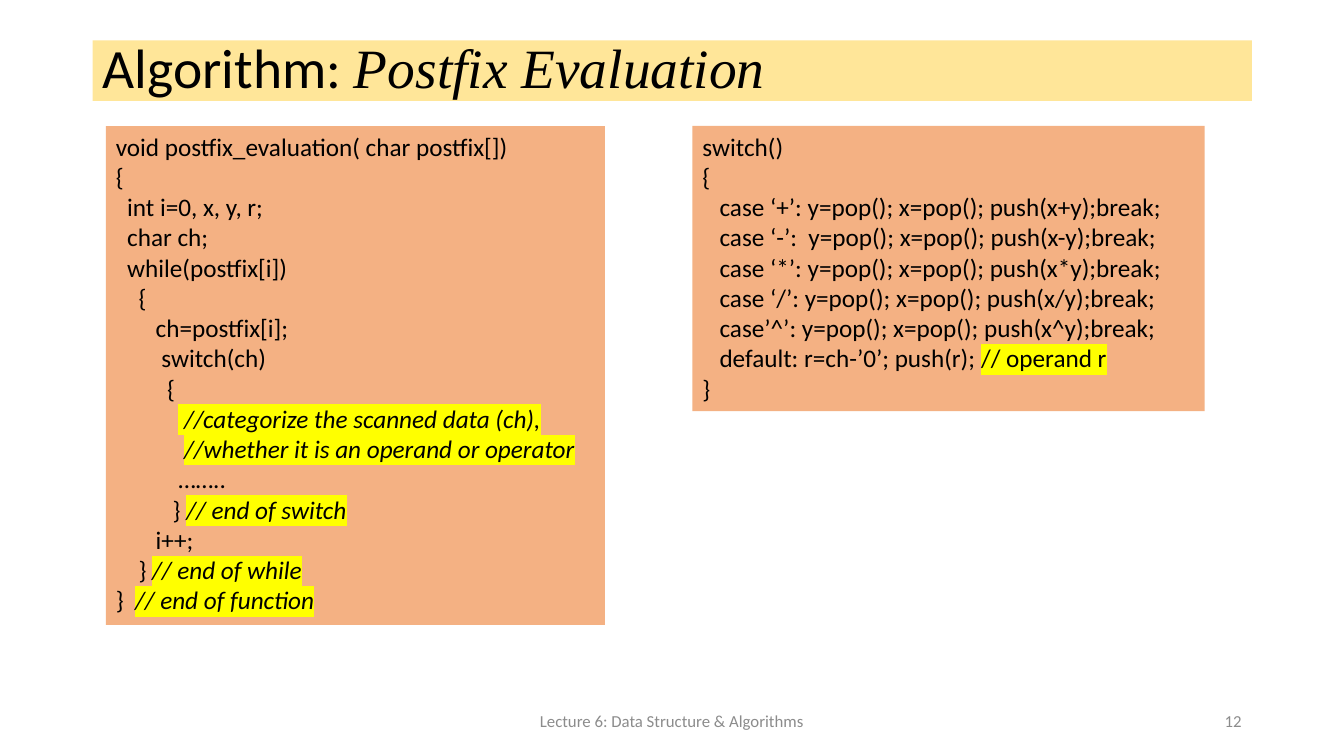
from lxml.etree import SubElement, Element
from pptx import Presentation
from pptx.dml.color import RGBColor
from pptx.enum.shapes import MSO_SHAPE
from pptx.enum.text import MSO_ANCHOR, MSO_AUTO_SIZE, PP_ALIGN
from pptx.oxml.ns import qn
from pptx.util import Pt

TITLE = [("Algorithm: ", {}), ("Postfix Evaluation", {"name": "Times New Roman", "italic": True})]
FOOTERS = [
    ("Lecture 6: Data Structure & Algorithms", (318, 500.4, 324, 28.8), PP_ALIGN.CENTER),
    ("12", (678, 500.4, 216, 28.8), PP_ALIGN.RIGHT),
]
FUNCTION_LINES = [
    (0, "void postfix_evaluation( char postfix[])", ""),
    (0, "{", ""),
    (2, "int i=0, x, y, r;", ""),
    (2, "char ch;", ""),
    (2, "while(postfix[i])", ""),
    (4, "{", ""),
    (7, "ch=postfix[i];", ""),
    (8, "switch(ch)", ""),
    (9, "{", ""),
    (11, "", " //categorize the scanned data (ch),\t"),
    (12, "", "//whether it is an operand or operator"),
    (11, "……..", ""),
    (10, "} ", "// end of switch"),
    (7, "i++;", ""),
    (4, "} ", "// end of while"),
    (0, "}  ", "// end of function"),
]
SWITCH_LINES = [
    (0, "switch()", ""),
    (0, "{", ""),
    (3, "case ‘+’: y=pop(); x=pop(); push(x+y);break;", ""),
    (3, "case ‘-’:  y=pop(); x=pop(); push(x-y);break;", ""),
    (3, "case ‘*’: y=pop(); x=pop(); push(x*y);break;", ""),
    (3, "case ‘/’: y=pop(); x=pop(); push(x/y);break;", ""),
    (3, "case’^’: y=pop(); x=pop(); push(x^y);break;", ""),
    (3, "default: r=ch-’0’; push(r); ", "// operand r"),
    (0, "}", ""),
]
CODE_BOXES = [
    (FUNCTION_LINES, (75.6, 90, 356.4, 356.4), True),
    (SWITCH_LINES, (494.64, 90, 365.76, 203.76), False),
]
TITLE_AREA = (66.24, 28.8, 828, 43.2)
INDENT_STEP = 4.07
TAB_STOP = 332.5


def color(value):
    return RGBColor.from_string(value)


def add_span(para, text, size, ink="000000", **changes):
    span = para.add_run()
    span.text = text
    span.font.color.rgb = color(ink)
    for name, value in {"name": "Calibri", "size": Pt(size), **changes}.items():
        setattr(span.font, name, value)
    return span


def highlight(span):
    mark = Element(qn("a:highlight"))
    SubElement(mark, qn("a:srgbClr"), val="FFFF00")
    span.font._element.find(qn("a:solidFill")).addnext(mark)


def indent(para, depth):
    properties = para._p.get_or_add_pPr()
    properties.set("marL", str(Pt(depth * INDENT_STEP)))
    properties.set("indent", "0")


def add_tab_stop(para, position):
    stops = SubElement(para._p.get_or_add_pPr(), qn("a:tabLst"))
    SubElement(stops, qn("a:tab"), pos=str(Pt(position)), algn="l")


def set_frame(frame, anchor):
    settings = {"word_wrap": True, "auto_size": MSO_AUTO_SIZE.NONE, "vertical_anchor": anchor}
    for name, value in settings.items():
        setattr(frame, name, value)


def add_code_box(page, lines, area, italic):
    box = page.shapes.add_shape(MSO_SHAPE.RECTANGLE, *map(Pt, area))
    box.shadow.inherit = False
    box.fill.solid()
    box.fill.fore_color.rgb = color("F4B183")
    box.line.fill.background()
    frame = box.text_frame
    set_frame(frame, MSO_ANCHOR.TOP)
    for number, (depth, code, comment) in enumerate(lines):
        para = frame.add_paragraph() if number else frame.paragraphs[0]
        para.alignment = PP_ALIGN.LEFT
        indent(para, depth)
        if "\t" in comment:
            add_tab_stop(para, TAB_STOP)
        if code:
            add_span(para, code, 18)
        if comment:
            highlight(add_span(para, comment, 18, italic=italic))


def add_title(page):
    title = page.shapes.title
    for name, value in zip(("left", "top", "width", "height"), TITLE_AREA):
        setattr(title, name, Pt(value))
    title.fill.solid()
    title.fill.fore_color.rgb = color("FFE699")
    set_frame(title.text_frame, MSO_ANCHOR.MIDDLE)
    para = title.text_frame.paragraphs[0]
    para.alignment = PP_ALIGN.LEFT
    para.line_spacing = 0.9
    for text, changes in TITLE:
        add_span(para, text, 39.6, **changes)


def main():
    deck = Presentation()
    deck.slide_width, deck.slide_height = Pt(960), Pt(540)
    page = deck.slides.add_slide(deck.slide_layouts[5])
    add_title(page)
    for text, area, alignment in FOOTERS:
        box = page.shapes.add_textbox(*map(Pt, area))
        set_frame(box.text_frame, MSO_ANCHOR.MIDDLE)
        para = box.text_frame.paragraphs[0]
        para.alignment = alignment
        add_span(para, text, 12, "8C8C8C")
    for lines, area, italic in CODE_BOXES:
        add_code_box(page, lines, area, italic)
    deck.save("out.pptx")


if __name__ == "__main__":
    main()
